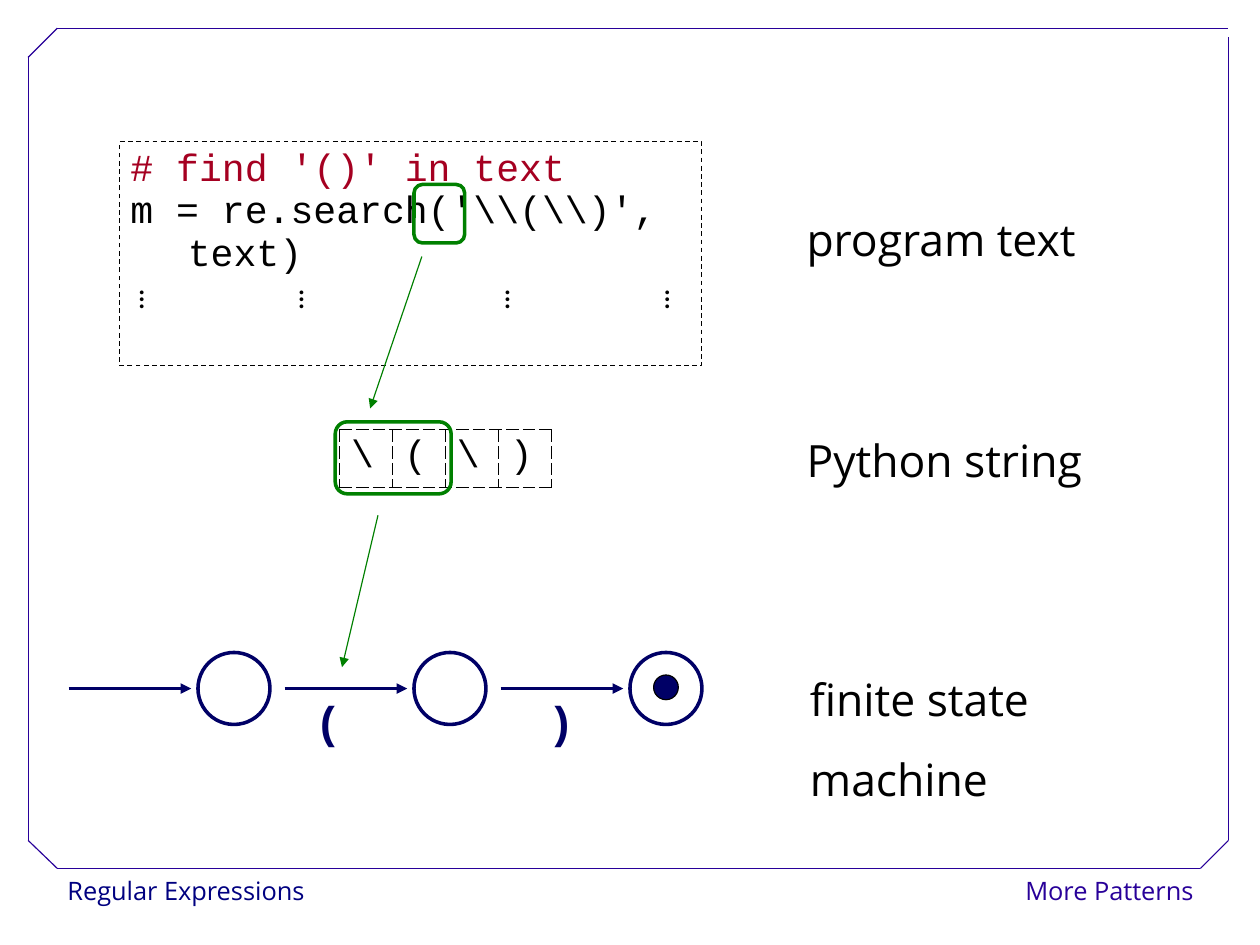
from dataclasses import dataclass

from lxml.etree import SubElement
from pptx import Presentation
from pptx.dml.color import RGBColor
from pptx.enum.dml import MSO_LINE
from pptx.enum.shapes import MSO_CONNECTOR, MSO_SHAPE
from pptx.enum.text import MSO_ANCHOR, PP_ALIGN
from pptx.oxml import parse_xml
from pptx.oxml.ns import nsdecls, qn
from pptx.util import Pt

PX = 9000
COLORS = {
    "ink": "000000",
    "paper": "FFFFFF",
    "frame": "280099",
    "footer": "000080",
    "comment": "A50021",
    "machine": "000066",
    "highlight": "008000",
}
CODE_FONT = "Courier New"
LABEL_FONT = "Open Sans"
STATE_LEFTS = (176, 368, 560)
STATE_SIZE = 64


@dataclass(frozen=True)
class Box:
    """A rectangle in px."""

    left: int
    top: int
    width: int
    height: int

    def emu(self) -> tuple[int, ...]:
        """Return the rectangle in EMU."""
        return tuple(PX * n for n in (self.left, self.top, self.width, self.height))


@dataclass(frozen=True)
class Segment:
    """A straight line in px."""

    x1: int
    y1: int
    x2: int
    y2: int


@dataclass(frozen=True)
class Label:
    """A box of text lines."""

    box: Box
    lines: tuple[str, ...]


FRAME = (
    Segment(51, 772, 1067, 772),
    Segment(25, 747, 25, 50),
    Segment(51, 25, 1092, 25),
    Segment(1092, 747, 1092, 33),
    Segment(25, 51, 51, 25),
    Segment(1067, 772, 1092, 747),
    Segment(25, 747, 51, 772),
)
STAGES = (
    Label(Box(707, 160, 368, 81), ("program text",)),
    Label(Box(707, 356, 371, 81), ("Python string",)),
    Label(Box(710, 569, 319, 152), ("finite state", "machine")),
)
TRANSITIONS = (
    Label(Box(270, 616, 44, 55), ("(",)),
    Label(Box(477, 616, 44, 55), (")",)),
)
MAPPINGS = (Segment(375, 228, 329, 363), Segment(336, 458, 304, 593))
HIGHLIGHTS = (Box(368, 164, 45, 52), Box(298, 375, 103, 64))


def rgb(name: str) -> RGBColor:
    """Look up a named colour."""
    return RGBColor.from_string(COLORS[name])


def write_text(paragraph, text: str, *, size: int = 24, font: str = CODE_FONT,
               color: str = "ink", bold: bool = False, spacing: float = 0.93,
               align=PP_ALIGN.LEFT, hanging: int = 0, tabs: tuple[int, ...] = ()) -> None:
    """Fill a paragraph with formatted text."""
    properties = paragraph._p.get_or_add_pPr()
    if hanging:
        properties.set("marL", str(hanging * PX))
        properties.set("indent", str(-hanging * PX))
    if tabs:
        SubElement(properties, qn("a:buNone"))
        tab_list = SubElement(properties, qn("a:tabLst"))
        for position in tabs:
            SubElement(tab_list, qn("a:tab"), pos=str(position * PX), algn="l")
    paragraph.alignment = align
    paragraph.line_spacing = spacing
    run = paragraph.add_run()
    run.text = text
    run.font.size = Pt(size)
    run.font.name = font
    run.font.bold = bold
    run.font.color.rgb = rgb(color)


def add_label(slide, label: Label, *, wrap: bool = True, **text_format) -> None:
    """Add a text box with one paragraph per line."""
    frame = slide.shapes.add_textbox(*label.box.emu()).text_frame
    frame.word_wrap = wrap
    for index, line in enumerate(label.lines):
        paragraph = frame.add_paragraph() if index else frame.paragraphs[0]
        write_text(paragraph, line, **text_format)


def add_footer(slide, box: Box, text: str, **text_format) -> None:
    """Add a white footer plate holding one unwrapped line."""
    shape = add_outline(slide, MSO_SHAPE.RECTANGLE, box, fill="paper")
    frame = shape.text_frame
    frame.word_wrap = False
    frame.vertical_anchor = MSO_ANCHOR.TOP
    write_text(frame.paragraphs[0], text, size=16, font=LABEL_FONT, spacing=1.02,
               **text_format)


def add_outline(slide, preset, box: Box, *, color: str = "", width: float = 2.25,
                fill: str = ""):
    """Add a shape with a line and a fill where their colours are named."""
    shape = slide.shapes.add_shape(preset, *box.emu())
    shape.shadow.inherit = False
    if color:
        shape.line.color.rgb = rgb(color)
        shape.line.width = Pt(width)
    else:
        shape.line.fill.background()
    if fill:
        shape.fill.solid()
        shape.fill.fore_color.rgb = rgb(fill)
    else:
        shape.fill.background()
    return shape


def add_line(slide, segment: Segment, *, color: str, width: float = 0.75,
             arrow: bool = False) -> None:
    """Add a straight line, with an arrowhead at its end on request."""
    ends = (PX * n for n in (segment.x1, segment.y1, segment.x2, segment.y2))
    connector = slide.shapes.add_connector(MSO_CONNECTOR.STRAIGHT, *ends)
    connector.line.color.rgb = rgb(color)
    connector.line.width = Pt(width)
    if arrow:
        SubElement(connector.line._get_or_add_ln(), qn("a:tailEnd"), type="triangle")
    SubElement(connector._element.spPr, qn("a:effectLst"))


def add_code(slide) -> None:
    """Add the dashed box of program text."""
    shape = add_outline(slide, MSO_SHAPE.RECTANGLE, Box(106, 126, 518, 199),
                        color="ink", width=0.75)
    shape.line.dash_style = MSO_LINE.DASH
    frame = shape.text_frame
    frame.word_wrap = True
    frame.vertical_anchor = MSO_ANCHOR.TOP
    write_text(frame.paragraphs[0], "# find '()' in text", color="comment", hanging=51)
    write_text(frame.add_paragraph(), r"m = re.search('\\(\\)', text)", hanging=51)
    write_text(frame.add_paragraph(), "\t".join("⋮⋮⋮⋮"), tabs=(142, 325, 467))


def add_string_table(slide) -> None:
    """Add the characters of the Python string as a one-row table."""
    characters = r"\(\)"
    box = Box(302, 382, 47 * len(characters), 51)
    table = slide.shapes.add_table(1, len(characters), *box.emu()).table
    table.first_row = table.horz_banding = False
    for cell, character in zip(table.rows[0].cells, characters):
        cell.fill.background()
        write_text(cell.text_frame.paragraphs[0], character)
        properties = cell._tc.get_or_add_tcPr()
        for index, side in enumerate("LRTB"):
            properties.insert(index, parse_xml(
                f'<a:ln{side} {nsdecls("a")} w="{Pt(0.45)}"><a:solidFill>'
                f'<a:srgbClr val="{COLORS["ink"]}"/></a:solidFill>'
                f'<a:prstDash val="dash"/></a:ln{side}>'))


def add_machine(slide) -> None:
    """Add the states and transitions of the finite state machine."""
    for left in STATE_LEFTS:
        add_outline(slide, MSO_SHAPE.OVAL, Box(left, 580, STATE_SIZE, STATE_SIZE),
                    color="machine")
        add_line(slide, Segment(left - 115, 612, left - 6, 612), color="machine",
                 width=2.25, arrow=True)
    add_outline(slide, MSO_SHAPE.OVAL, Box(581, 600, 22, 22), color="ink",
                width=0.75, fill="machine")
    for transition in TRANSITIONS:
        add_label(slide, transition, wrap=False, size=28, color="machine", bold=True)


def main() -> None:
    """Build and save the slide."""
    presentation = Presentation()
    presentation.slide_width = 1120 * PX
    presentation.slide_height = 840 * PX
    slide = presentation.slides.add_slide(presentation.slide_layouts[6])
    slide.background.fill.solid()
    slide.background.fill.fore_color.rgb = rgb("paper")
    add_footer(slide, Box(50, 772, 218, 41), "Regular Expressions", color="footer")
    add_footer(slide, Box(929, 772, 142, 41), "More Patterns", color="frame",
               align=PP_ALIGN.RIGHT)
    for segment in FRAME:
        add_line(slide, segment, color="frame")
    add_code(slide)
    add_string_table(slide)
    add_machine(slide)
    for stage in STAGES:
        add_label(slide, stage, size=28, font=LABEL_FONT, spacing=1.5, hanging=51)
    for segment in MAPPINGS:
        add_line(slide, segment, color="highlight", arrow=True)
    for box in HIGHLIGHTS:
        add_outline(slide, MSO_SHAPE.ROUNDED_RECTANGLE, box, color="highlight")
    presentation.save("out.pptx")


if __name__ == "__main__":
    main()
